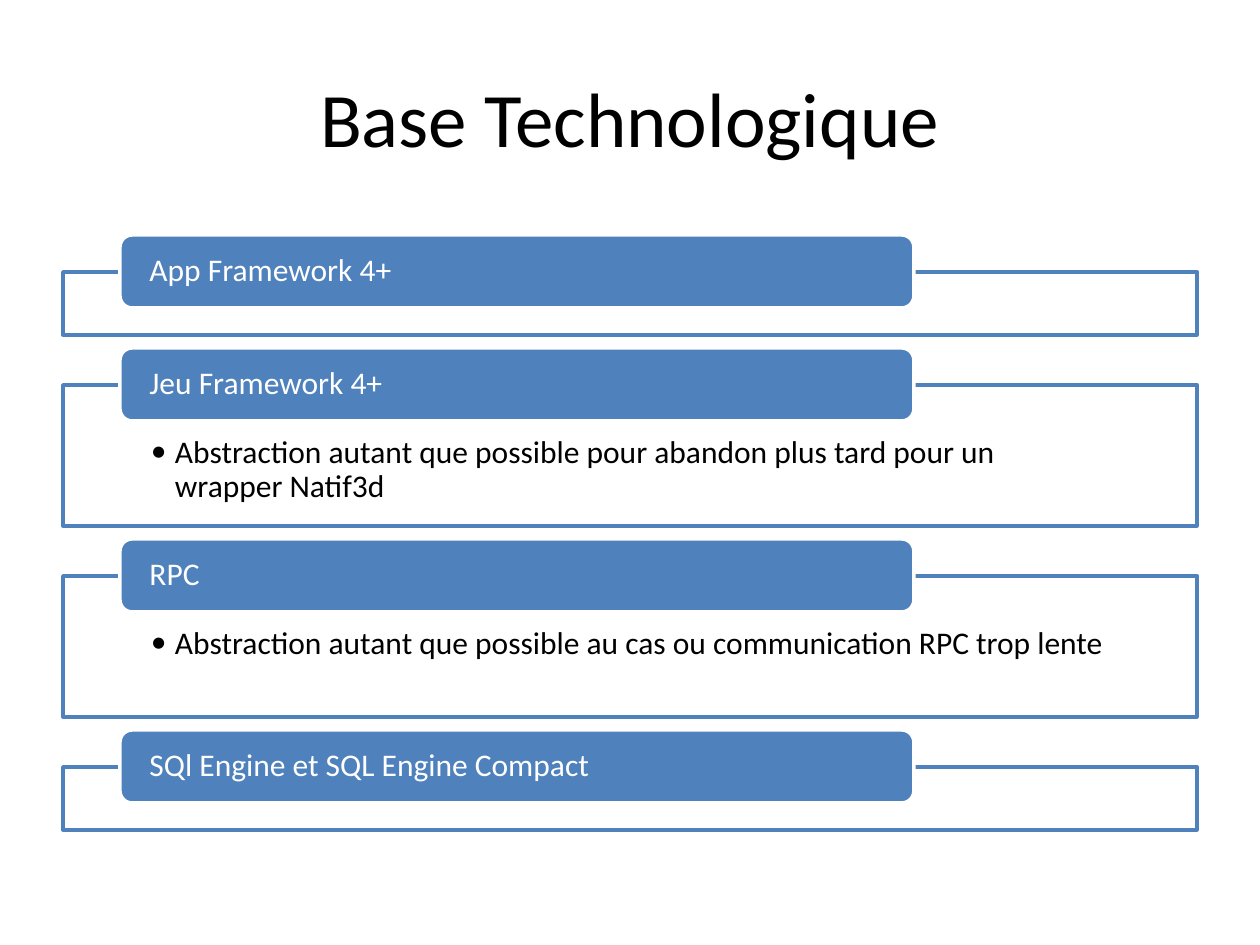
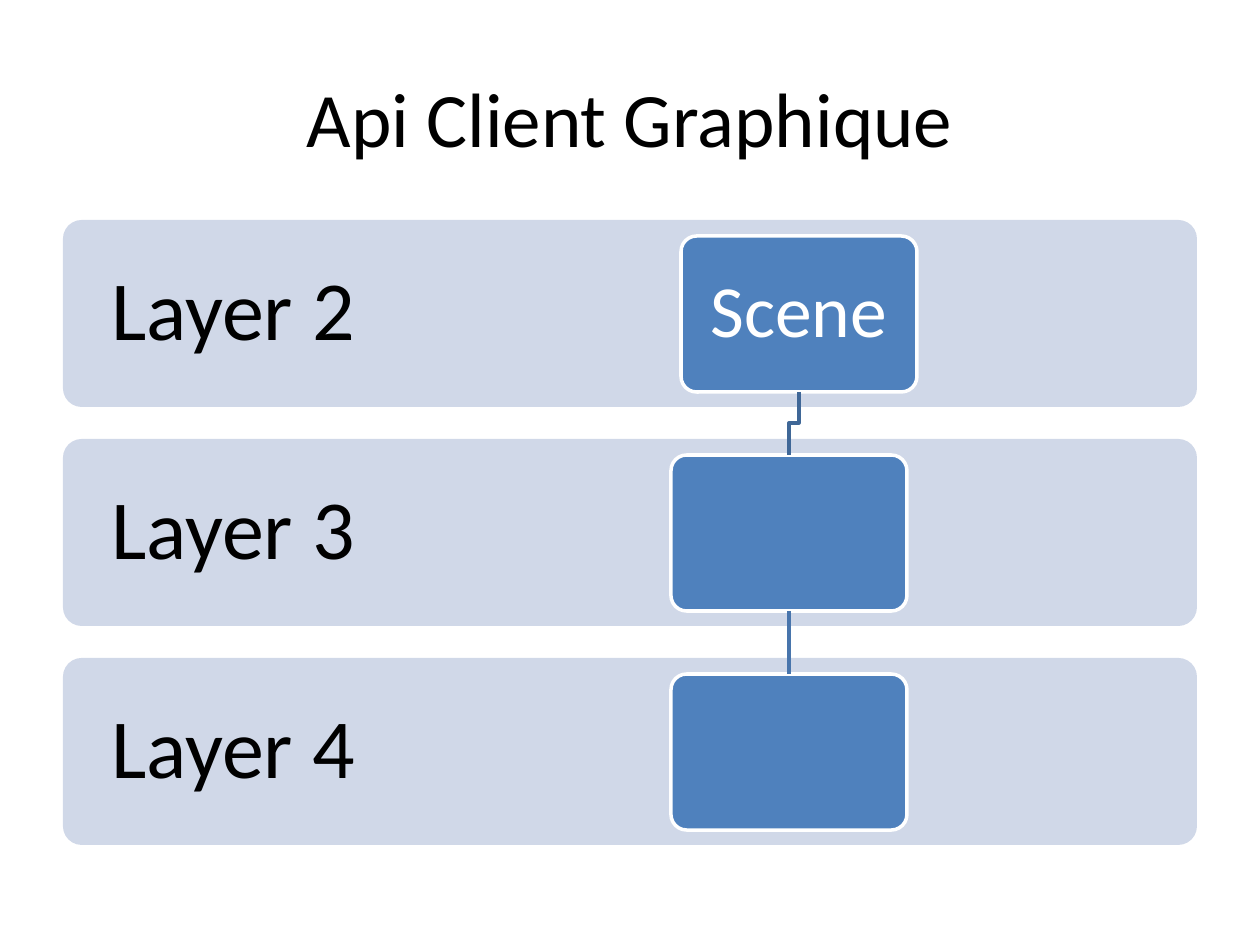
from dataclasses import dataclass

from lxml.etree import SubElement
from pptx import Presentation
from pptx.dml.color import RGBColor
from pptx.enum.shapes import MSO_CONNECTOR as CONNECTOR, MSO_SHAPE as SHAPE
from pptx.enum.text import MSO_ANCHOR as ANCHOR, PP_ALIGN as ALIGN
from pptx.oxml.ns import qn
from pptx.util import Pt

PIXEL = 914400 // 126


@dataclass(frozen=True)
class Theme:
    """Colours, font and type sizes shared by the slides."""
    font: str = "Calibri"
    black: str = "000000"
    white: str = "FFFFFF"
    accent: str = "4F81BD"
    band: str = "D0D8E8"
    elbow: str = "3F6797"
    link: str = "4875AC"
    title_size: int = 44
    body_size: int = 18
    layer_size: int = 48
    node_size: int = 42
    line_width: int = 2


THEME = Theme()


def emu(*pixels):
    """Turn pixel lengths into EMU."""
    return [pixel * PIXEL for pixel in pixels]


def rgb(color):
    """Turn a hex string into a colour."""
    return RGBColor.from_string(color)


def stroke(shape, color):
    """Give a shape or connector the common line."""
    shape.line.color.rgb = rgb(color)
    shape.line.width = Pt(THEME.line_width)


def add_box(slide, kind, box, fill, line=None, radius=None):
    """Add a filled preset shape."""
    shape = slide.shapes.add_shape(kind, *emu(*box))
    shape.shadow.inherit = False
    shape.fill.solid()
    shape.fill.fore_color.rgb = rgb(fill)
    if line:
        stroke(shape, line)
    else:
        shape.line.fill.background()
    if radius is not None:
        shape.adjustments[0] = radius
    return shape


def write(shape, text, size, color, insets, align=ALIGN.LEFT, anchor=ANCHOR.MIDDLE, spacing=0.9):
    """Write one paragraph into a shape and return it."""
    frame = shape.text_frame
    frame.word_wrap = True
    frame.vertical_anchor = anchor
    frame.margin_left, frame.margin_top, frame.margin_right, frame.margin_bottom = emu(*insets)
    paragraph = frame.paragraphs[0]
    paragraph.text = text
    paragraph.alignment = align
    paragraph.line_spacing = spacing
    paragraph.font.name = THEME.font
    paragraph.font.size = Pt(size)
    paragraph.font.color.rgb = rgb(color)
    return paragraph


def add_bullet(paragraph, indent):
    """Give a paragraph a hanging bullet."""
    properties = paragraph._p.get_or_add_pPr()
    properties.set("marL", str(indent * PIXEL))
    properties.set("indent", str(-indent * PIXEL))
    bullet = SubElement(properties, qn("a:buChar"), char="•")
    bullet.addprevious(bullet.makeelement(qn("a:buFont"), typeface=THEME.font))


def add_title(slide, text, box=(63, 38, 1134, 157)):
    """Add the centred slide title."""
    title = slide.shapes.add_textbox(*emu(*box))
    write(title, text, THEME.title_size, THEME.black, (13, 6, 13, 6), ALIGN.CENTER, spacing=1)


def add_sections(slide, box, sections):
    """Stack outlined sections, each with a heading bar and an optional bullet."""
    left, top, width = box
    gap, bar_rise = 50, 37
    for heading, detail in sections:
        height = 141 if detail else 63
        outline = add_box(slide, SHAPE.RECTANGLE, (left, top, width, height), THEME.white, THEME.accent)
        if detail:
            paragraph = write(outline, detail, THEME.body_size, THEME.black,
                              (88, 51, 88, 18), anchor=ANCHOR.TOP)
            add_bullet(paragraph, 24)
        bar = add_box(slide, SHAPE.ROUNDED_RECTANGLE, (left + 57, top - bar_rise, 794, 73),
                      THEME.accent, THEME.white)
        write(bar, heading, THEME.body_size, THEME.white, (26, 0, 26, 0))
        top += height + gap


def add_elbow(slide, start, end):
    """Draw a bent line that leaves and arrives vertically."""
    (start_x, start_y), (end_x, end_y) = start, end
    middle = (start_y + end_y) // 2
    builder = slide.shapes.build_freeform(start_x, start_y, scale=PIXEL)
    builder.add_line_segments([(start_x, middle), (end_x, middle), end], close=False)
    elbow = builder.convert_to_shape()
    elbow.shadow.inherit = False
    elbow.fill.background()
    stroke(elbow, THEME.elbow)


def add_link(slide, start, end):
    """Draw a straight line between two nodes."""
    link = slide.shapes.add_connector(CONNECTOR.STRAIGHT, *emu(*start, *end))
    stroke(link, THEME.link)
    SubElement(link._element.spPr, qn("a:effectLst"))


def add_layers(slide, box, layers):
    """Stack labelled bands, each holding one node, and join the nodes."""
    left, top, width, height = box
    pitch, node_width, node_height, inset = 219, 236, 156, 16
    previous = None
    for row, (label, node_text, node_offset) in enumerate(layers):
        band_top = top + row * pitch
        add_box(slide, SHAPE.ROUNDED_RECTANGLE, (left, band_top, width, height), THEME.band, radius=0.1)
        caption = slide.shapes.add_textbox(*emu(left, band_top, 340, height))
        write(caption, label, THEME.layer_size, THEME.black, (47, 47, 47, 47), ALIGN.CENTER)

        node_left, node_top = left + node_offset, band_top + inset
        node = add_box(slide, SHAPE.ROUNDED_RECTANGLE, (node_left, node_top, node_width, node_height),
                       THEME.accent, THEME.white, 0.1)
        if node_text:
            write(node, node_text, THEME.node_size, THEME.white, (17, 17, 17, 17), ALIGN.CENTER)
        entry = (node_left + node_width // 2, node_top)
        if previous:
            join = add_link if previous[0] == entry[0] else add_elbow
            join(slide, previous, entry)
        previous = (entry[0], node_top + node_height)


def main():
    """Build the two slides and save them."""
    presentation = Presentation()
    presentation.slide_width, presentation.slide_height = emu(1260, 945)
    blank = presentation.slide_layouts[6]

    slide = presentation.slides.add_slide(blank)
    add_title(slide, "Base Technologique")
    add_sections(slide, (63, 272, 1134), [
        ("App Framework 4+", None),
        ("Jeu Framework 4+",
         "Abstraction autant que possible pour abandon plus tard pour un wrapper Natif3d"),
        ("RPC", "Abstraction autant que possible au cas ou communication RPC trop lente"),
        ("SQl Engine et SQL Engine Compact", None),
    ])

    slide = presentation.slides.add_slide(blank)
    add_title(slide, "Api Client Graphique")
    add_layers(slide, (63, 220, 1134, 187), [
        ("Layer 2", "Scene", 618),
        ("Layer 3", None, 608),
        ("Layer 4", None, 608),
    ])

    presentation.save("out.pptx")


main()
